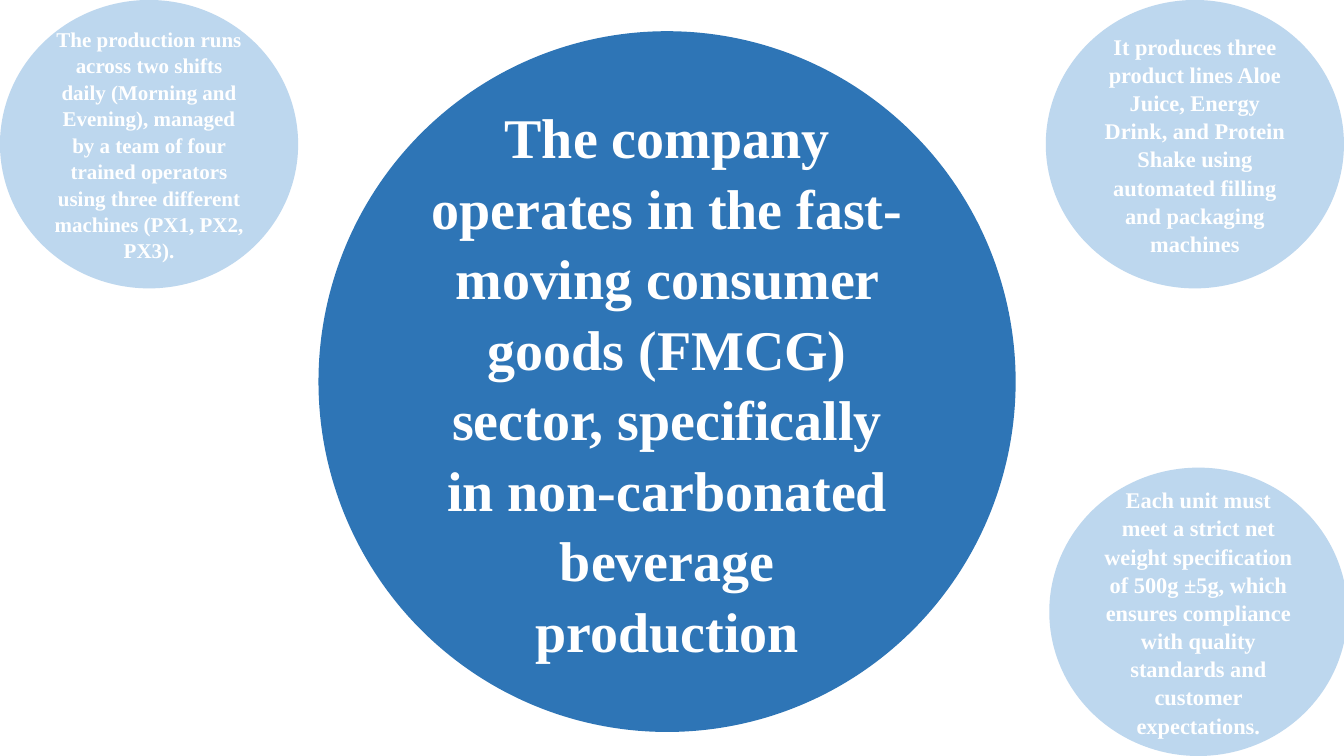
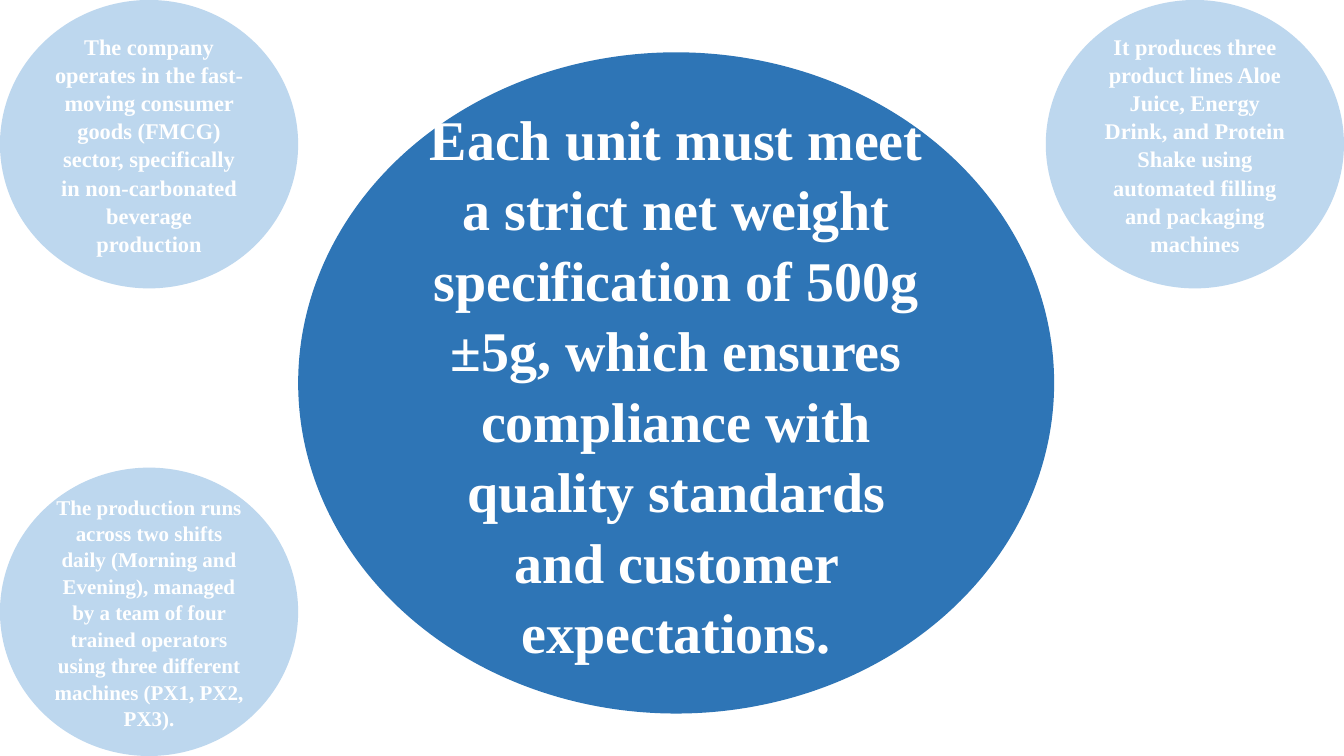
from dataclasses import dataclass

from pptx import Presentation
from pptx import util as u
from pptx.dml import color as c
from pptx.enum import shapes, text


# Shared style
@dataclass(frozen=True)
class Theme:
    pale: str = "BDD7EE"
    deep: str = "2E75B6"
    white: str = "FFFFFF"
    font: str = "Times New Roman"
    tiny: int = 15
    small: int = 16
    large: int = 40
    pitch: float = 1.05


WIDE, HIGH = 960, 540
# Small ovals sit in the corners
OVAL_W, OVAL_H = 213, 206
RIGHT, LOW = WIDE - OVAL_W, HIGH - OVAL_H

# Wording used on both slides
SECTOR = ("The company operates in the fast-moving consumer goods (FMCG) "
          "sector, specifically in non-carbonated beverage production")
SHIFTS = ("The production runs across two shifts daily (Morning and Evening), "
          "managed by a team of four trained operators using three different "
          "machines (PX1, PX2, PX3).")
LINES = ("It produces three product lines Aloe Juice, Energy Drink, and "
         "Protein Shake using automated filling and packaging machines")
WEIGHT = ("Each unit must meet a strict net weight specification of 500g ±5g, "
          "which ensures compliance with quality standards and customer "
          "expectations.")


class Deck:
    def __init__(self, theme):
        self.theme = theme
        self.show = Presentation()
        self.show.slide_width = u.Pt(WIDE)
        self.show.slide_height = u.Pt(HIGH)
        self.slide = None

    def page(self):
        self.slide = self.show.slides.add_slide(self.show.slide_layouts[6])

    def oval(self, box, fill, words, size):
        oval = self.slide.shapes.add_shape(
            shapes.MSO_SHAPE.OVAL, *(u.Pt(n) for n in box))
        oval.shadow.inherit = False
        oval.fill.solid()
        oval.fill.fore_color.rgb = c.RGBColor.from_string(fill)
        oval.line.fill.background()
        frame = oval.text_frame
        frame.word_wrap = True
        frame.vertical_anchor = text.MSO_ANCHOR.MIDDLE
        para = frame.paragraphs[0]
        para.alignment = text.PP_ALIGN.CENTER
        para.line_spacing = self.theme.pitch
        run = para.add_run()
        run.text = words
        font = run.font
        font.name, font.size, font.bold = self.theme.font, u.Pt(size), True
        font.color.rgb = c.RGBColor.from_string(self.theme.white)

    def side(self, left, top, words, size=None):
        self.oval((left, top, OVAL_W, OVAL_H), self.theme.pale, words,
                  size or self.theme.small)

    def main(self, box, words):
        self.oval(box, self.theme.deep, words, self.theme.large)


def build():
    theme = Theme()
    deck = Deck(theme)

    # Slide 1: the sector in focus
    deck.page()
    deck.side(0, 0, SHIFTS, theme.tiny)
    deck.side(RIGHT + 2.5, LOW, WEIGHT)
    deck.side(RIGHT, 0, LINES)
    deck.main((227.5, 22.3, 498, 500.5), SECTOR)

    # Slide 2: the unit weight in focus
    deck.page()
    deck.side(0, LOW, SHIFTS, theme.tiny)
    deck.main((213, 37.4, 540, 472.3), WEIGHT)
    deck.side(0, 0, SECTOR)
    deck.side(RIGHT, 0, LINES)

    deck.show.save("out.pptx")


if __name__ == "__main__":
    build()
